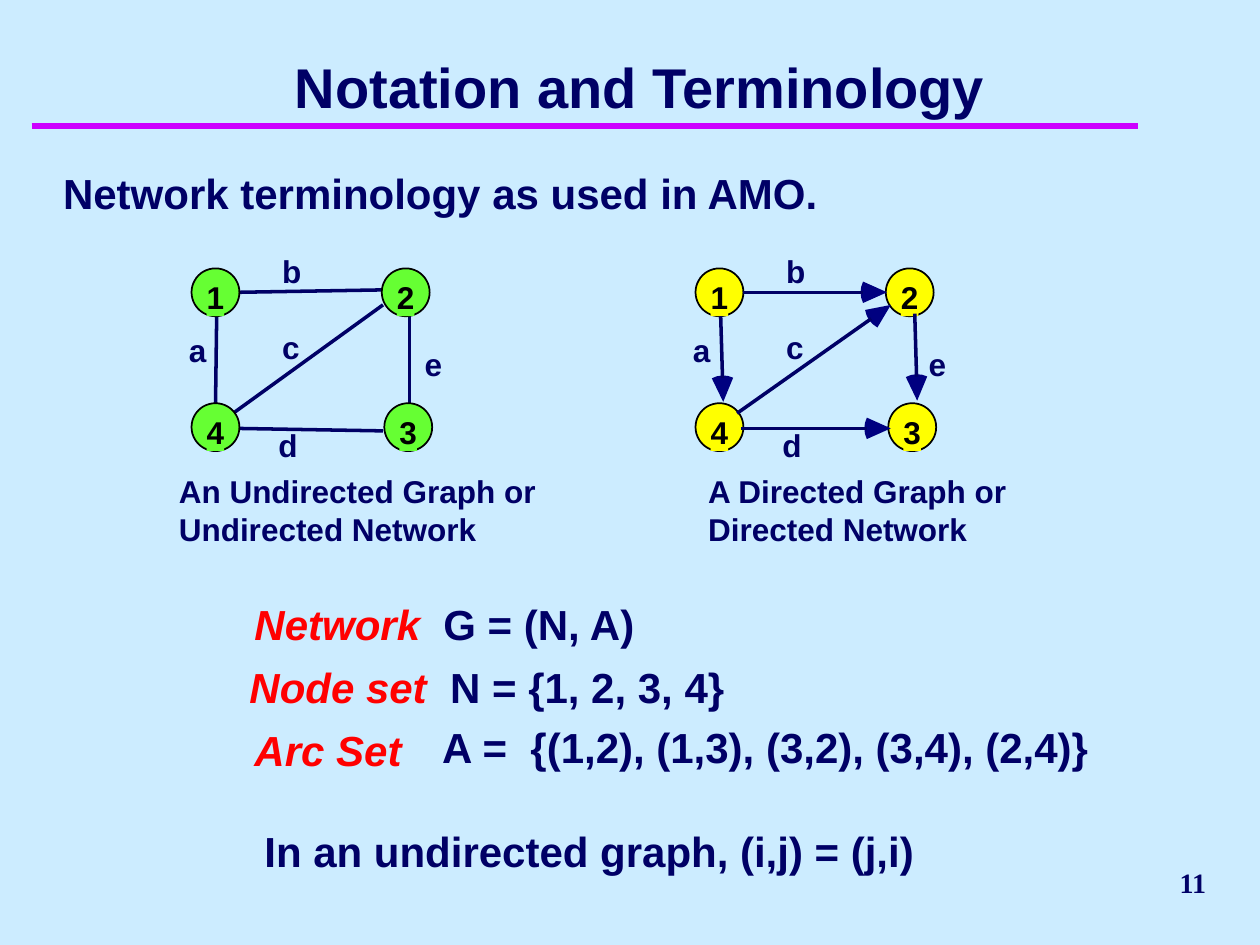
from math import atan2, cos, hypot, sin
from typing import NamedTuple, Optional

from lxml.etree import SubElement
from pptx import Presentation
from pptx.dml.color import RGBColor
from pptx.enum.shapes import MSO_CONNECTOR, MSO_SHAPE
from pptx.enum.text import MSO_ANCHOR as ANCHOR, PP_ALIGN as ALIGN
from pptx.oxml.ns import qn
from pptx.util import Emu, Pt

PX = 9144  # 100 px to the inch
COLORS = {
    "background": "CCECFF", "rule": "CC00FF", "text": "000066", "term": "FF0000",
    "outline": "000000", "arrowhead": "000080",
    "undirected": "66FF33", "directed": "FFFF00",
}
HEAD_LENGTH, HEAD_BULGE, HEAD_HALF = 19, 21, 8.5


class Box(NamedTuple):
    left: int
    top: int
    width: int
    height: int


class Arc(NamedTuple):
    x1: int
    y1: int
    x2: int
    y2: int
    weight: float = 2


class Label(NamedTuple):
    text: str
    x: int
    y: int


class Run(NamedTuple):
    text: str
    color: str = "text"
    italic: Optional[bool] = None


class Statement(NamedTuple):
    box: Box
    runs: list
    wrap: bool = False
    margins: tuple = (0, 0)


# Graph positions are relative to the left edge of each graph.
NODES = [Label("2", 153, 213), Label("3", 155, 320), Label("4", 2, 320), Label("1", 2, 213)]
ARC_LABELS = [Label("a", 0, 263), Label("b", 74, 200), Label("c", 74, 260),
              Label("d", 71, 338), Label("e", 187, 274)]
EDGES = [Arc(40, 232, 158, 230), Arc(38, 340, 154, 342), Arc(22, 251, 21, 325),
         Arc(35, 328, 154, 242), Arc(175, 247, 175, 322, 2.25)]
ARROWS = [Arc(40, 232, 154, 232), Arc(38, 340, 157, 340), Arc(176, 249, 178, 318),
          Arc(22, 251, 24, 319), Arc(35, 328, 157, 242)]
STATEMENTS = [
    Statement(Box(50, 133, 925, 40), [Run("Network terminology as used in AMO.")], True),
    Statement(Box(202, 475, 303, 40), [Run("Network", "term", True), Run("  G = (N, A)")]),
    Statement(Box(198, 525, 386, 40), [Run("Node set ", "term", True),
                                       Run(" N = {1, 2, 3, 4}")]),
    Statement(Box(202, 575, 117, 40), [Run("Arc Set", "term", True)]),
    Statement(Box(351, 573, 520, 40), [Run("A =  {(1,2), (1,3), (3,2), (3,4), (2,4)}")], True),
    Statement(Box(200, 650, 608, 50), [Run("In an undirected graph, (i,j) = (j,i)")], True, (10, 5)),
]


def px(n: float) -> Emu:
    return Emu(round(n * PX))


def rgb(name: str) -> RGBColor:
    return RGBColor.from_string(COLORS[name])


def set_font(p, size: int, color: str = "text", name: str = "Arial") -> None:
    p.font.name, p.font.size, p.font.bold = name, Pt(size), True
    p.font.color.rgb = rgb(color)


def add_text(shapes, box: Box, lines: list, size: int, color: str = "text",
             wrap: bool = False, margins: tuple = (0, 0), fill: Optional[str] = None,
             name: str = "Arial"):
    """Add a text box with one paragraph for each list of runs."""
    sp = shapes.add_textbox(*map(px, box))
    if fill:
        sp.fill.solid()
        sp.fill.fore_color.rgb = rgb(fill)
    tf = sp.text_frame
    tf.word_wrap = wrap
    tf.margin_left = tf.margin_right = px(margins[0])
    tf.margin_top = tf.margin_bottom = px(margins[1])
    for i, runs in enumerate(lines):
        p = tf.add_paragraph() if i else tf.paragraphs[0]
        set_font(p, size, color, name)
        for run in runs:
            r = p.add_run()
            r.text = run.text
            if len(runs) > 1 or run.italic or run.color != "text":
                r.font.italic = run.italic
                r.font.color.rgb = rgb(run.color)
    return sp


def add_line(shapes, arc: Arc, color: str = "text") -> None:
    line = shapes.add_connector(MSO_CONNECTOR.STRAIGHT, *map(px, arc[:4]))
    line.line.color.rgb = rgb(color)
    line.line.width = Pt(arc.weight)
    SubElement(line._element.spPr, qn("a:effectLst"))


def add_arrow(shapes, arc: Arc) -> None:
    """Draw a shaft and a wide arrowhead with a rounded back."""
    dx, dy = arc.x2 - arc.x1, arc.y2 - arc.y1
    length, angle = hypot(dx, dy), atan2(dy, dx)

    def place(along: float, across: float) -> tuple:
        return (px(arc.x2 + along * cos(angle) - across * sin(angle)),
                px(arc.y2 + along * sin(angle) + across * cos(angle)))

    back = [(HEAD_LENGTH + (HEAD_BULGE - HEAD_LENGTH) * (1 - t * t), t * HEAD_HALF)
            for t in (-1, -0.5, 0, 0.5, 1)]
    outline = shapes.build_freeform(*place(0, 0), scale=1.0)
    outline.add_line_segments([place(-along, across) for along, across in back], close=True)
    head = outline.convert_to_shape()
    head.shadow.inherit = False
    head.fill.solid()
    head.fill.fore_color.rgb = rgb("arrowhead")
    head.line.fill.background()

    shaft = 1 - HEAD_LENGTH / length
    add_line(shapes, arc._replace(x2=arc.x1 + dx * shaft, y2=arc.y1 + dy * shaft))


def add_node(shapes, node: Label, fill: str) -> None:
    sp = shapes.add_shape(MSO_SHAPE.OVAL, *map(px, Box(node.x, node.y, 38, 38)))
    sp.shadow.inherit = False
    sp.fill.solid()
    sp.fill.fore_color.rgb = rgb(fill)
    sp.line.color.rgb = rgb("outline")
    sp.line.width = Pt(1)
    add_text(shapes, Box(node.x + 12, node.y + 8, 14, 30), [[Run(node.text)]], 18,
             color="outline", fill=fill)


def add_graph(s, left: int, fill: str, caption_box: Box, caption: list) -> None:
    shapes = s.shapes.add_group_shape().shapes

    def shift(arc: Arc) -> Arc:
        return arc._replace(x1=arc.x1 + left, x2=arc.x2 + left)

    if fill == "undirected":
        for edge in EDGES:
            add_line(shapes, shift(edge))
    for node in NODES:
        add_node(shapes, node._replace(x=node.x + left), fill)
    if fill == "directed":
        for arrow in ARROWS:
            add_arrow(shapes, shift(arrow))
    for label in ARC_LABELS:
        add_text(shapes, Box(left + label.x, label.y, 14, 30), [[Run(label.text)]], 18)
    add_text(shapes, caption_box, [[Run(line)] for line in caption], 18)


def add_title(s, text: str) -> None:
    title = s.shapes.title
    title.left, title.top, title.width, title.height = map(px, Box(83, 42, 850, 58))
    tf = title.text_frame
    tf.text = text
    tf.vertical_anchor = ANCHOR.BOTTOM
    p = tf.paragraphs[0]
    p.alignment = ALIGN.CENTER
    set_font(p, 32)


def main() -> None:
    prs = Presentation()
    prs.slide_width, prs.slide_height = px(1000), px(750)
    s = prs.slides.add_slide(prs.slide_layouts[5])
    s.background.fill.solid()
    s.background.fill.fore_color.rgb = rgb("background")

    add_line(s.shapes, Arc(25, 100, 903, 100, 4), "rule")
    add_title(s, "Notation and Terminology")
    for item in STATEMENTS:
        add_text(s.shapes, item.box, [item.runs], 24, wrap=item.wrap, margins=item.margins)
    add_graph(s, 150, "undirected", Box(142, 375, 290, 60),
              ["An Undirected Graph or", "Undirected Network"])
    add_graph(s, 550, "directed", Box(562, 375, 245, 60),
              ["A Directed Graph or", "Directed Network"])
    number = add_text(s.shapes, Box(775, 675, 192, 50), [[Run("11")]], 16, wrap=True,
                      margins=(10, 5), name="Times New Roman")
    number.text_frame.vertical_anchor = ANCHOR.MIDDLE
    number.text_frame.paragraphs[0].alignment = ALIGN.RIGHT
    prs.save("out.pptx")


if __name__ == "__main__":
    main()
